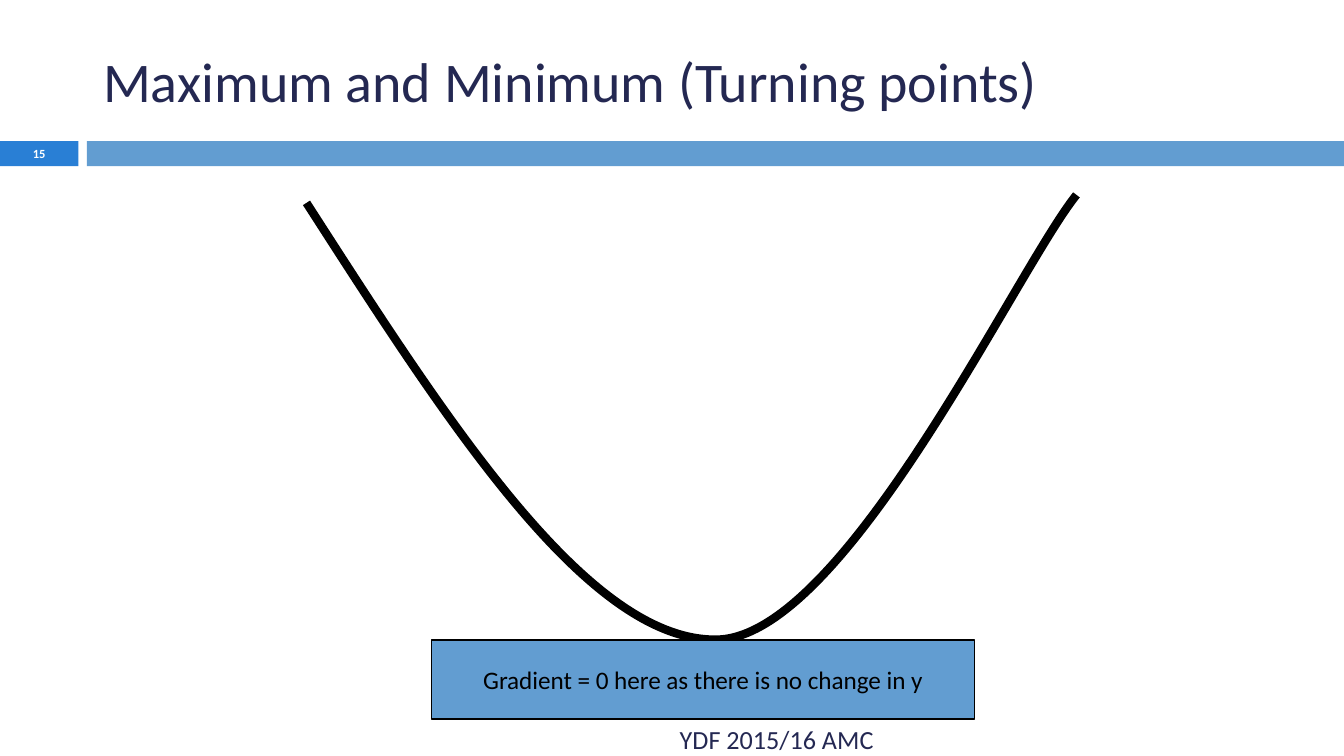
from lxml import etree
from pptx import Presentation
from pptx.dml.color import RGBColor
from pptx.enum.shapes import MSO_SHAPE as Kind
from pptx.enum.text import MSO_ANCHOR as Anchor, PP_ALIGN as Align
from pptx.oxml.ns import qn
from pptx.util import Pt

NAVY = RGBColor(0x24, 0x28, 0x52)
BLUE = RGBColor(0x29, 0x7F, 0xD5)
SKY = RGBColor(0x62, 0x9D, 0xD1)
BLACK = RGBColor(0, 0, 0)
WHITE = RGBColor(0xFF, 0xFF, 0xFF)

deck = Presentation()
deck.slide_width, deck.slide_height = Pt(720), Pt(405)
slide = deck.slides.add_slide(deck.slide_layouts[6])
shapes = slide.shapes


def add_bar(left, top, width, height, fill):
    bar = shapes.add_shape(Kind.RECTANGLE, Pt(left), Pt(top), Pt(width), Pt(height))
    bar.shadow.inherit = False
    bar.fill.solid()
    bar.fill.fore_color.rgb = fill
    bar.line.fill.background()
    return bar


def write(shape, text, size, color, align, bold=False):
    frame = shape.text_frame
    frame.text = text
    frame.word_wrap = True
    frame.vertical_anchor = Anchor.MIDDLE
    para = frame.paragraphs[0]
    para.alignment = align
    font = para.runs[0].font
    font.name, font.size, font.bold = "Calibri", Pt(size), bold
    font.color.rgb = color


# Header band
page = add_bar(0, 75.6, 42, 13.4, BLUE)
add_bar(46.6, 75.6, 673.4, 13.4, SKY)
write(page, "15", 6.7, WHITE, Align.CENTER, bold=True)

title = shapes.add_textbox(Pt(48.2), Pt(13.7), Pt(642.2), Pt(58.3))
write(title, "Maximum and Minimum (Turning points)", 30, NAVY, Align.LEFT)

# Curve: the start, then two handles and an end for each Bézier piece
start = (164.2, 108.7)
knots = [(239.8, 226.1), (314.6, 343.4), (383.8, 342.7),
         (452.2, 342), (544.3, 144.7), (576.7, 104.4)]
draft = shapes.build_freeform(Pt(start[0]), Pt(start[1]))
draft.add_line_segments([(Pt(x), Pt(y)) for x, y in knots], close=False)
curve = draft.convert_to_shape()
curve.shadow.inherit = False
curve.fill.background()
curve.line.color.rgb = BLACK
curve.line.width = Pt(4.5)

# Turn each three straight steps into one cubic piece
track = next(curve.element.iter(qn("a:path")))
steps = track.findall(qn("a:lnTo"))
for i in range(0, len(steps), 3):
    cubic = etree.SubElement(track, qn("a:cubicBezTo"))
    for step in steps[i:i + 3]:
        cubic.append(step[0])
        track.remove(step)

# Turning point label and footer
label = add_bar(231.1, 342.9, 291, 42.3, SKY)
label.line.color.rgb = BLACK
label.line.width = Pt(0.75)
write(label, "Gradient = 0 here as there is no change in y", 13.5, BLACK, Align.CENTER)
label.text_frame.word_wrap = False

foot = shapes.add_textbox(Pt(48.2), Pt(385.2), Pt(427), Pt(21.6))
write(foot, "YDF 2015/16 AMC", 14, NAVY, Align.RIGHT)

deck.save("out.pptx")
